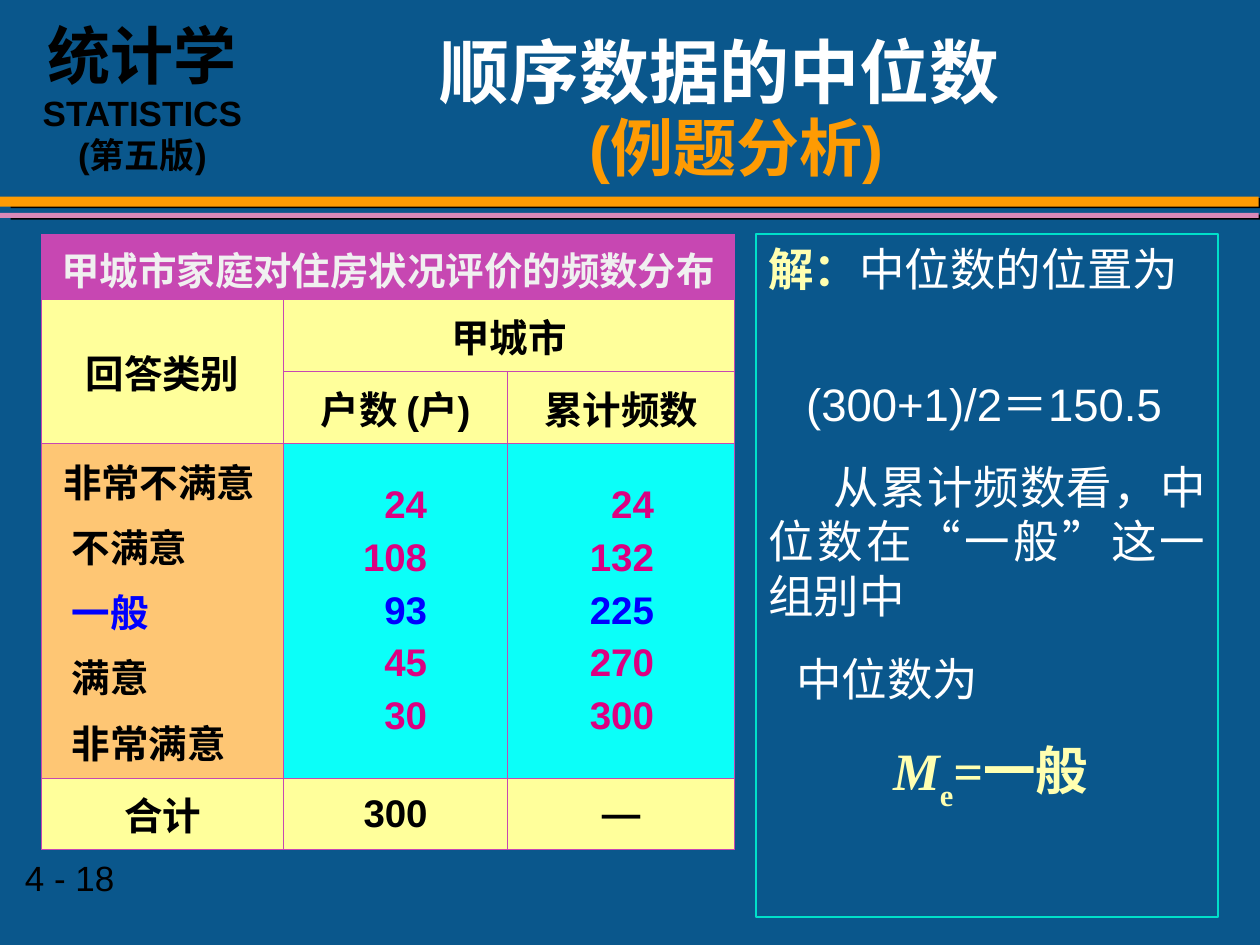
from lxml.etree import SubElement
from pptx import Presentation
from pptx.dml.color import RGBColor
from pptx.enum.shapes import MSO_SHAPE as SHAPE
from pptx.enum.text import MSO_ANCHOR as ANCHOR, PP_ALIGN as AL
from pptx.oxml import parse_xml
from pptx.oxml.ns import nsdecls, qn
from pptx.util import Inches, Pt

COLORS = dict(
    bg="0A578C", orange="FE9B03", pink="D989B8", black="000000", white="FFFFFF",
    cream="FFFFB1", teal="00DFCA", purple="C747B2", pale="F0F0F0", yellow="FFFF9B",
    peach="FEC674", cyan="0BFFF9", blue="0000FF", magenta="DC0081",
)


def rgb(name):
    return RGBColor.from_string(COLORS[name])


def run(text, size=22, color="black", bold=True, font="Arial", italic=False, base=0):
    return dict(text=text, size=size, color=color, bold=bold, font=font, italic=italic, base=base)


def para(*runs, al=AL.CENTER, before=0, left=0, first=0):
    return dict(runs=runs, al=al, before=before, left=left, first=first)


class Deck:
    """Builds one styled slide on a grid of 100 columns by 75 rows."""

    def __init__(self):
        self.prs = Presentation()
        self.prs.slide_width, self.prs.slide_height = Inches(10), Inches(7.5)
        self.unit = self.prs.slide_width / 100
        self.s = self.prs.slides.add_slide(self.prs.slide_layouts[6])
        self.s.background.fill.solid()
        self.s.background.fill.fore_color.rgb = rgb("bg")

    def grid(self, *cells):
        return [round(c * self.unit) for c in cells]

    def add_paras(self, tf, paras, spacing=None):
        for i, item in enumerate(paras):
            p = tf.paragraphs[0] if i == 0 else tf.add_paragraph()
            p.alignment, p.space_before, p.line_spacing = item["al"], Pt(item["before"]), spacing
            pPr = p._p.get_or_add_pPr()
            left, first = self.grid(item["left"], item["first"])
            pPr.set("marL", str(left))
            pPr.set("indent", str(first))
            for part in item["runs"]:
                r = p.add_run()
                r.text = part["text"]
                f = r.font
                f.size, f.name = Pt(part["size"]), part["font"]
                f.bold, f.italic = part["bold"], part["italic"]
                f.color.rgb = rgb(part["color"])
                if part["base"]:
                    r._r.get_or_add_rPr().set("baseline", str(part["base"]))

    def text(self, box, paras, wrap=True, anchor=ANCHOR.TOP, spacing=None):
        tf = self.s.shapes.add_textbox(*self.grid(*box)).text_frame
        tf.word_wrap, tf.vertical_anchor = wrap, anchor
        self.add_paras(tf, paras, spacing)

    def bar(self, box, color):
        sp = self.s.shapes.add_shape(SHAPE.RECTANGLE, *self.grid(*box))
        sp.fill.solid()
        sp.fill.fore_color.rgb = rgb(color)
        sp.line.fill.background()
        sp.shadow.inherit = False
        effects = sp._element.spPr.find(qn("a:effectLst"))
        shadow = SubElement(effects, qn("a:outerShdw"), blurRad="0", dist="77470", dir="540000")
        SubElement(shadow, qn("a:srgbClr"), val=COLORS["black"])

    def panel(self, box, color, paras):
        sp = self.s.shapes.add_shape(SHAPE.RECTANGLE, *self.grid(*box))
        sp.shadow.inherit = False
        sp.fill.background()
        sp.line.color.rgb, sp.line.width = rgb(color), Pt(1)
        sp.text_frame.word_wrap, sp.text_frame.vertical_anchor = True, ANCHOR.TOP
        self.add_paras(sp.text_frame, paras)

    def table(self, box, cols, rows, merges, border):
        t = self.s.shapes.add_table(len(rows), len(cols), *self.grid(*box)).table
        t.first_row = t.horz_banding = False
        for col, width in zip(t.columns, self.grid(*cols)):
            col.width = width
        for row, height in zip(t.rows, self.grid(*rows)):
            row.height = height
        for cell in t.iter_cells():
            tcPr = cell._tc.get_or_add_tcPr()
            for side in "LRTB":
                tcPr.append(parse_xml(
                    f'<a:ln{side} {nsdecls("a")} w="5715"><a:solidFill>'
                    f'<a:srgbClr val="{COLORS[border]}"/></a:solidFill></a:ln{side}>'))
        for start, end in merges:
            t.cell(*start).merge(t.cell(*end))
        return t

    def cell(self, t, at, fill, paras, right=1):
        c = t.cell(*at)
        c.fill.solid()
        c.fill.fore_color.rgb = rgb(fill)
        c.vertical_anchor = ANCHOR.MIDDLE
        c.margin_right = self.grid(right)[0]
        self.add_paras(c.text_frame, paras)


def column(values, color, **style):
    return [para(run(v, color="blue" if i == 2 else color), before=5.5 if i else 0, **style)
            for i, v in enumerate(values)]


def main():
    d = Deck()
    for top, height, color in ((15.6, 0.8, "orange"), (16.9, 0.4, "pink")):
        d.bar((0, top, 99.9, height), color)
    d.text((1, 67.5, 18.7, 4.3), [para(run("4 - 18", 20, bold=False), al=AL.LEFT)], wrap=False)
    d.text((1.7, 0.8, 19.2, 16.1), [
        para(run(text, size)) for text, size in (("统计学", 36), ("STATISTICS", 20), ("(第五版)", 20))])
    d.text((20, 2.5, 74.2, 12.5), [
        para(run("顺序数据的中位数", 40, "white", font="TeX Gyre Pagella")),
        para(run("(例题分析)", 36, "orange"), left=2.7),
    ], anchor=ANCHOR.MIDDLE, spacing=0.95)

    body = dict(size=26, color="white", bold=False)
    symbol = dict(size=30, color="cream", font="Times New Roman")
    d.panel((60, 18.6, 36.7, 54.2), "teal", [
        para(run("解：", 26, "cream"), run("中位数的位置为", **body), al=AL.JUSTIFY),
        para(run("(300+1)/2＝150.5", **body), al=AL.JUSTIFY, before=46, left=3),
        para(run("从累计频数看，中位数在“一般”这一组别中", **body), al=AL.JUSTIFY, before=16.2, first=5.2),
        para(run("中位数为", **body), al=AL.JUSTIFY, before=16.2, left=2.2),
        para(run("M", italic=True, **symbol), run("e", base=-30000, **symbol),
             run("=一般", **symbol), al=AL.JUSTIFY, before=18.7, left=9.9),
    ])

    t = d.table((3.3, 18.6, 55, 48.8), (19.2, 17.8, 18), (5.2, 5.7, 5.7, 26.6, 5.6),
                [((0, 0), (0, 2)), ((1, 0), (2, 0)), ((1, 1), (1, 2))], "purple")
    d.cell(t, (0, 0), "purple", [para(run("甲城市家庭对住房状况评价的频数分布", color="pale"))])
    labels = {(1, 0): "回答类别", (1, 1): "甲城市", (2, 1): "户数 (户)", (2, 2): "累计频数",
              (4, 0): "合计", (4, 1): "300", (4, 2): "—"}
    for at, label in labels.items():
        d.cell(t, at, "yellow", [para(run(label))])
    answers = column(["非常不满意", "不满意", "一般", "满意", "非常满意"], "black", al=AL.JUSTIFY, left=1.4)
    answers[0]["left"] = 0.7
    d.cell(t, (3, 0), "peach", answers)
    counts = [24, 108, 93, 45, 30]
    totals = [sum(counts[:i + 1]) for i in range(len(counts))]
    for col, values in enumerate((counts, totals), 1):
        d.cell(t, (3, col), "cyan", column(map(str, values), "magenta", al=AL.RIGHT), right=6.4)
    d.prs.save("out.pptx")


if __name__ == "__main__":
    main()
